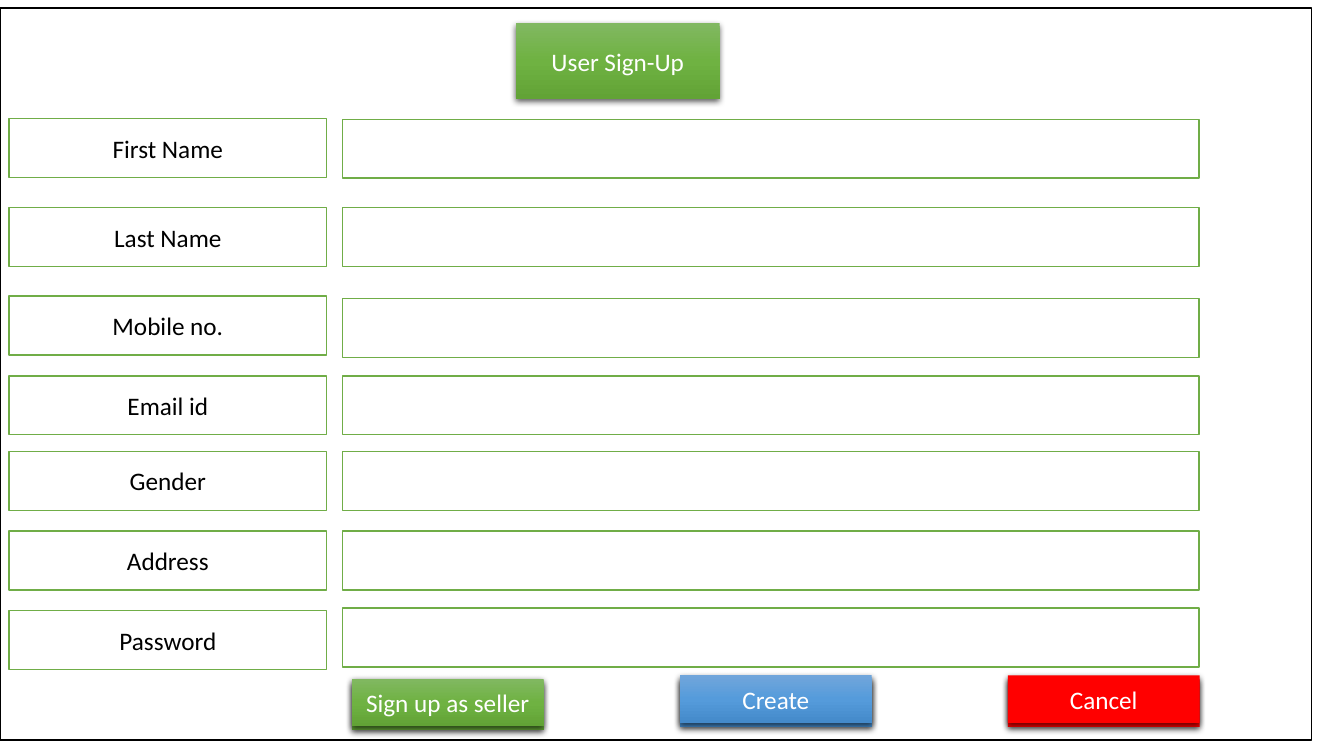
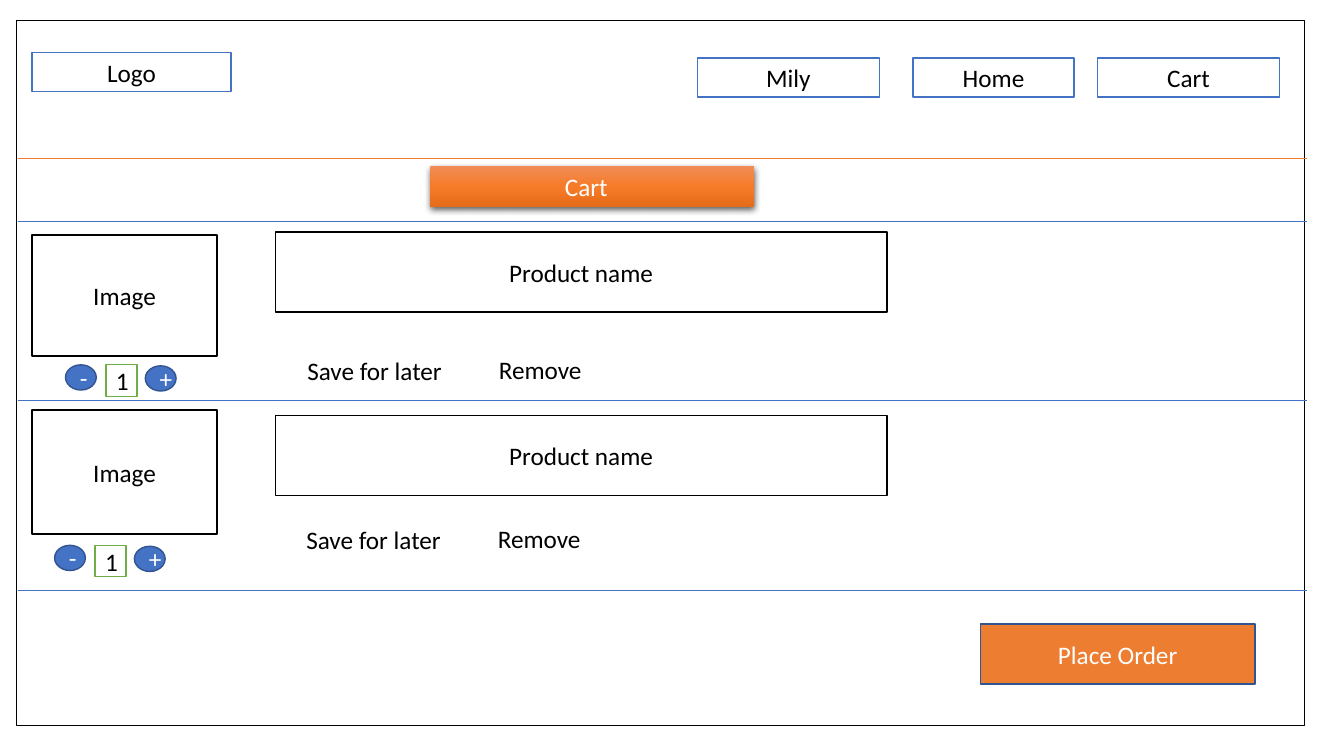
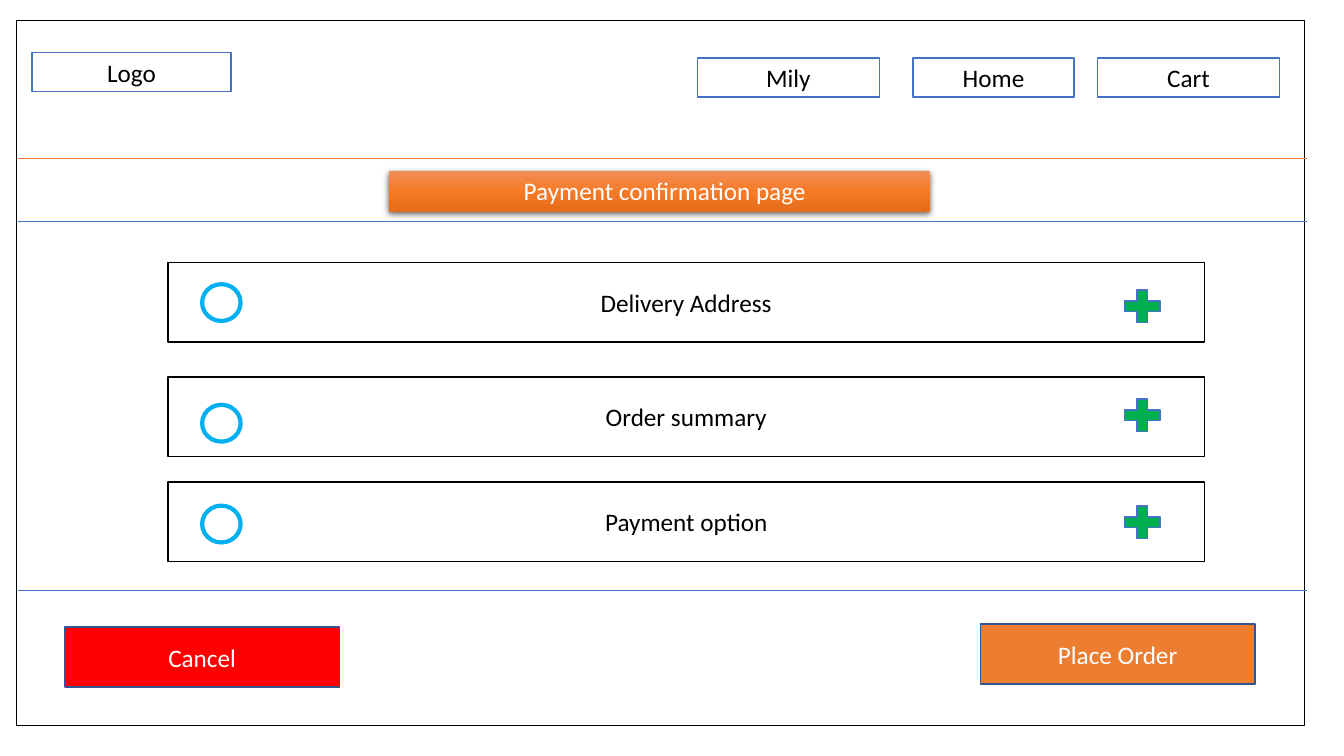
from copy import deepcopy

from lxml import etree
from pptx import Presentation
from pptx.dml.color import RGBColor
from pptx.enum import shapes, text
from pptx.oxml.ns import qn
from pptx.util import Pt

RECT = shapes.MSO_SHAPE.RECTANGLE
STEP = shapes.MSO_SHAPE.FLOWCHART_PROCESS
DOT = shapes.MSO_SHAPE.FLOWCHART_CONNECTOR
PLUS = shapes.MSO_SHAPE.MATH_PLUS
BLACK, WHITE, RED = "000000", "FFFFFF", "FF0000"
BLUE, NAVY, SKY = "4472C4", "325491", "00B0F0"
GREEN, LEAF, ORANGE = "70AD47", "00B050", "ED7D31"
MOSS = ("81B861", "6FB242", "62A336")
AZURE = ("71A6DB", "559BDB", "448ACA")
AMBER = ("F18C57", "F67B28", "E56C19")


def rgb(hue):
    return RGBColor.from_string(hue)


def box(page, area, words="", fill=WHITE, line=None, width=1, kind=RECT,
        ink=BLACK, glow=False, indent=None):
    """Add a shape, or a text box if kind is None.

    A tuple as fill is a vertical gradient, glow adds the soft shadow,
    and indent sets the words at the top left instead of the centre.
    """
    area = [Pt(n) for n in area]
    if kind is None:
        item = page.shapes.add_textbox(*area)
    else:
        item = page.shapes.add_shape(kind, *area)
        item.shadow.inherit = False
        if fill is None:
            item.fill.background()
        elif isinstance(fill, tuple):
            item.fill.gradient()
            item.fill.gradient_angle = 270
            stops = item.element.spPr.find(".//" + qn("a:gsLst"))
            stops.insert(1, deepcopy(stops[0]))
            for stop, hue, at in zip(item.fill.gradient_stops, fill, (0, 0.5, 1)):
                stop.color.rgb = rgb(hue)
                stop.position = at
        else:
            item.fill.solid()
            item.fill.fore_color.rgb = rgb(fill)
        if line:
            item.line.color.rgb = rgb(line)
            item.line.width = Pt(width)
        else:
            item.line.fill.background()
    if glow:
        effects = item.element.spPr.find(qn("a:effectLst"))
        shade = etree.SubElement(effects, qn("a:outerShdw"), blurRad="57150",
                                 dist="19050", dir="5400000", algn="ctr", rotWithShape="0")
        hue = etree.SubElement(shade, qn("a:srgbClr"), val=BLACK)
        etree.SubElement(hue, qn("a:alpha"), val="63000")
    if words:
        frame = item.text_frame
        frame.word_wrap = True
        para = frame.paragraphs[0]
        if indent is None:
            frame.vertical_anchor = text.MSO_ANCHOR.MIDDLE
            para.alignment = text.PP_ALIGN.CENTER
        else:
            frame.vertical_anchor = text.MSO_ANCHOR.TOP
            para.alignment = text.PP_ALIGN.LEFT
            para._p.get_or_add_pPr().set("marL", str(Pt(indent)))
        run = para.add_run()
        run.text = words
        run.font.name = "Calibri"
        run.font.size = Pt(18)
        run.font.color.rgb = rgb(ink)


deck = Presentation()
deck.slide_width, deck.slide_height = Pt(960), Pt(540)
sign, cart, pay = [deck.slides.add_slide(deck.slide_layouts[6]) for _ in range(3)]

# Sign-up form
box(sign, (0, 5.8, 936.7, 522.7), line=BLACK)
box(sign, (368.6, 16.6, 145.4, 54), "User Sign-Up", MOSS, ink=WHITE, glow=True)

rows = [
    ("First Name", 84.8, 85.3),
    ("Last Name", 148.3, 148.3),
    ("Mobile no.", 211.5, 213.2),
    ("Email id", 268.5, 268.5),
    ("Gender", 322.5, 322.5),
    ("Address", 379.4, 379.4),
    ("Password", 436.3, 434.4),
]
for name, top, slot in rows:
    box(sign, (6.5, top, 226.8, 42), name, line=GREEN)
    box(sign, (244.6, slot, 612, 42), line=GREEN)

buttons = [
    ("Sign up as seller", 251.3, 484.9, MOSS),
    ("Create", 485.7, 482.4, AZURE),
    ("Cancel", 719.9, 482.4, RED),
]
for name, left, top, fill in buttons:
    box(sign, (left, top + 2.8, 137, 34), fill=fill, glow=True)
    box(sign, (left, top, 137, 34), name, fill, ink=WHITE, glow=True)

# Frame, menu, title band and order button of the shop pages
menu = [("Logo", 23, 37.6, 142), ("Mily", 498.2, 41.4, 130),
        ("Home", 652.2, 41.4, 115), ("Cart", 784, 41.4, 130)]
shop = [
    (cart, "Cart", (307.4, 118.8, 231.4, 29.1), (158.4, 285.8, 421.9)),
    (pay, "Payment confirmation page", (278, 122, 386, 29.1), (158.4, 421.9)),
]
for page, title, band, rules in shop:
    box(page, (11.5, 14.4, 920, 504), fill=None, line=BLACK, width=0.75)
    for name, left, top, wide in menu:
        box(page, (left, top, wide, 28), name, line=BLUE)
    for y, hue in [(113, ORANGE)] + [(y, BLUE) for y in rules]:
        rule = page.shapes.add_connector(
            shapes.MSO_CONNECTOR.STRAIGHT, Pt(12.6), Pt(y), Pt(933.8), Pt(y))
        rule.line.color.rgb = rgb(hue)
        rule.line.width = Pt(0.5)
        etree.SubElement(rule.element.spPr, qn("a:effectLst"))
    box(page, band, title, AMBER, ink=WHITE, glow=True, indent=89)
    box(page, (700.4, 445.6, 196, 43), "Place Order", ORANGE, NAVY, kind=STEP, ink=WHITE)

# Cart items: tops of image, name, links and counter, then left of links and counter
items = [
    (168, 86.4, 165.8, 249.3, 260.6, 212.4, 46.8),
    (293, 88.6, 296.9, 370.4, 389.5, 211.7, 39),
]
for top, high, head, link, count, left, side in items:
    box(cart, (23, top, 132, high), "Image", line=BLACK)
    box(cart, (196.6, head, 437, 57), "Product name", line=BLACK)
    box(cart, (left, link + 0.6, 171.4, 29.1), "Save for later", kind=None, indent=0)
    box(cart, (left + 136.8, link, 171.4, 29.1), "Remove", kind=None, indent=0)
    box(cart, (side, count, 22, 18), "-", BLUE, NAVY, kind=DOT, ink=WHITE)
    box(cart, (side + 57, count + 0.7, 22, 18), "+", BLUE, NAVY, kind=DOT, ink=WHITE)
    box(cart, (side + 29, count, 22, 22.5), "1", line=GREEN)

# Payment steps
steps = [
    ("Delivery Address", 187.4, 203, 203),
    ("Order summary", 269.2, 289.2, 280.8),
    ("Payment option", 344.2, 361.2, 357.2),
]
for name, top, ring, plus in steps:
    box(pay, (120, top, 740.4, 57), name, line=BLACK)
    box(pay, (144.4, ring, 27.5, 26.3), line=SKY, width=3, kind=DOT)
    box(pay, (798.5, plus, 34.6, 31.7), fill=LEAF, line=BLUE, kind=PLUS)
box(pay, (46.4, 447.8, 196, 43), "Cancel", RED, NAVY, kind=STEP, ink=WHITE)

deck.save("out.pptx")
